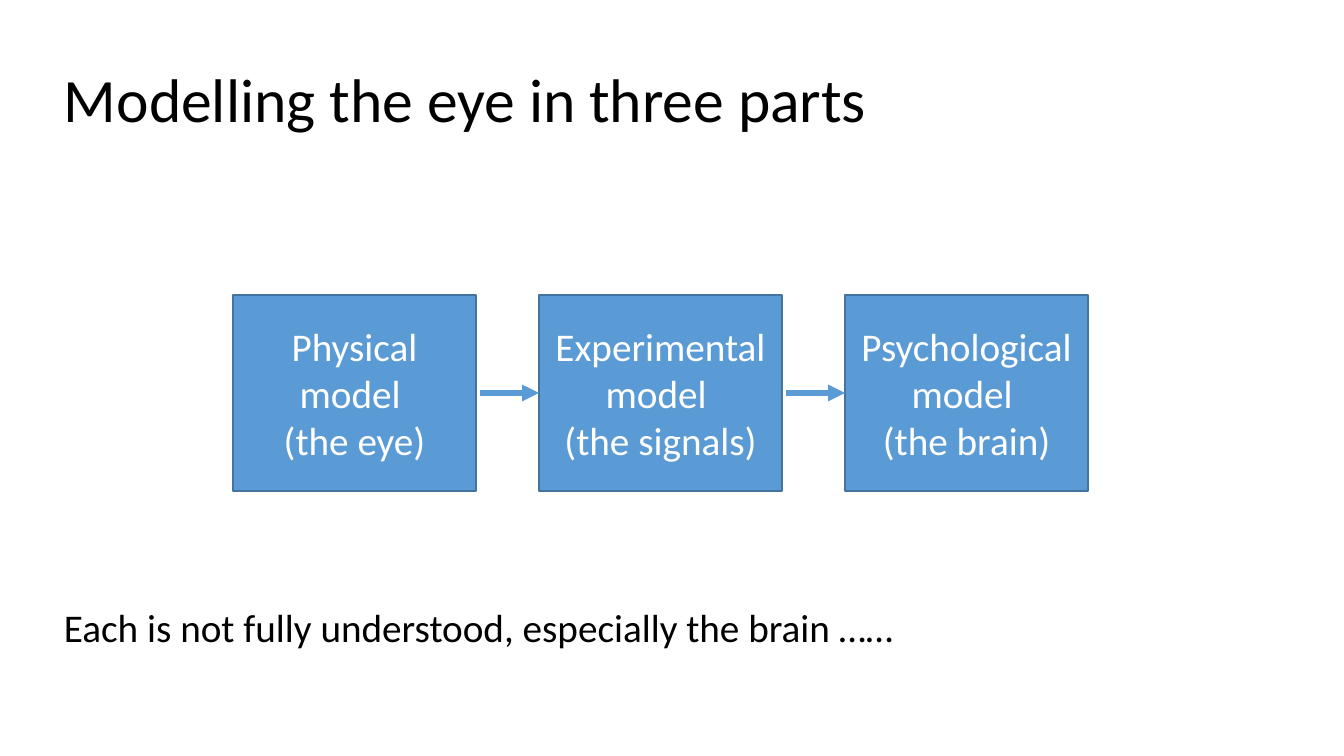
"""Build a slide that models the eye as a chain of three parts."""
from lxml.etree import SubElement
from pptx import Presentation
from pptx.dml.color import RGBColor
from pptx.enum.shapes import MSO_CONNECTOR as Connector, MSO_SHAPE as Shape
from pptx.enum.text import MSO_ANCHOR as Anchor, PP_ALIGN as Align
from pptx.oxml.ns import qn
from pptx.util import Pt

TITLE = "Modelling the eye in three parts"
CONCLUSION = "Each is not fully understood, especially the brain ……"
MODELS = [
    ("Physical model ", "(the eye)"),
    ("Experimental model ", "(the signals)"),
    ("Psychological model ", "(the brain)"),
]

BLACK = RGBColor(0x00, 0x00, 0x00)
WHITE = RGBColor(0xFF, 0xFF, 0xFF)
BLUE = RGBColor(0x5B, 0x9B, 0xD5)
DARK_BLUE = RGBColor(0x43, 0x73, 0x9E)

SLIDE_W, SLIDE_H = 1344, 756
EMU_PER_PX = 12192000 / SLIDE_W
TITLE_AREA = (54, 30, 1159, 146)
CONCLUSION_AREA = (54, 604, 1159, 77)
MODEL_LEFT, MODEL_TOP, MODEL_W, MODEL_H = 233, 295, 243, 196
MODEL_PITCH = 306
ARROW_GAP = 4


def px(*lengths):
    return [round(length * EMU_PER_PX) for length in lengths]


def write(holder, lines, size=28, color=BLACK, align=Align.LEFT,
          anchor=Anchor.MIDDLE, spacing=None, before=0):
    frame = holder.text_frame
    frame.word_wrap = True
    frame.vertical_anchor = anchor
    for number, line in enumerate(lines):
        paragraph = frame.add_paragraph() if number else frame.paragraphs[0]
        paragraph.alignment = align
        paragraph.line_spacing = spacing
        paragraph.space_before = Pt(before)
        run = paragraph.add_run()
        run.text = line
        run.font.name = "Calibri"
        run.font.size = Pt(size)
        run.font.color.rgb = color


def add_model(slide, left, lines):
    model = slide.shapes.add_shape(
        Shape.RECTANGLE, *px(left, MODEL_TOP, MODEL_W, MODEL_H))
    model.shadow.inherit = False
    model.fill.solid()
    model.fill.fore_color.rgb = BLUE
    model.line.color.rgb = DARK_BLUE
    model.line.width = Pt(1)
    write(model, lines, color=WHITE, align=Align.CENTER)


def add_arrow(slide, start, end):
    middle = MODEL_TOP + MODEL_H / 2
    arrow = slide.shapes.add_connector(
        Connector.STRAIGHT, *px(start, middle, end, middle))
    arrow.line.color.rgb = BLUE
    arrow.line.width = Pt(4)
    SubElement(arrow.line._get_or_add_ln(), qn("a:tailEnd"), type="triangle")
    SubElement(arrow._element.spPr, qn("a:effectLst"))


def main():
    deck = Presentation()
    deck.slide_width, deck.slide_height = px(SLIDE_W, SLIDE_H)
    slide = deck.slides.add_slide(deck.slide_layouts[6])

    title = slide.shapes.add_textbox(*px(*TITLE_AREA))
    write(title, [TITLE], size=44, spacing=0.9)
    conclusion = slide.shapes.add_textbox(*px(*CONCLUSION_AREA))
    write(conclusion, [CONCLUSION], anchor=Anchor.TOP, spacing=0.9, before=10)

    lefts = [MODEL_LEFT + MODEL_PITCH * step for step in range(len(MODELS))]
    for left, lines in zip(lefts, MODELS):
        add_model(slide, left, lines)
    for left, next_left in zip(lefts, lefts[1:]):
        add_arrow(slide, left + MODEL_W + ARROW_GAP, next_left)

    deck.save("out.pptx")


if __name__ == "__main__":
    main()
